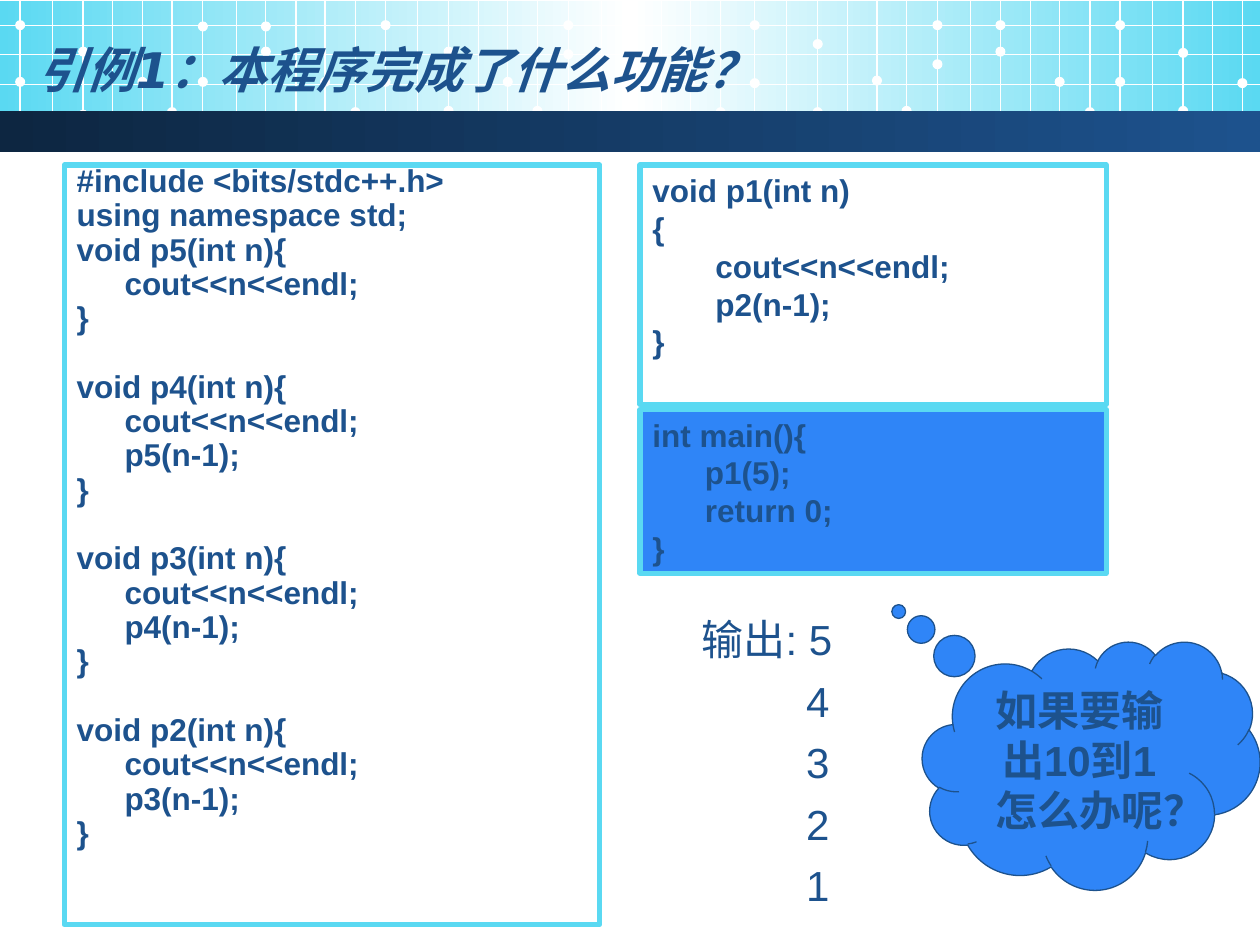
from copy import deepcopy
from dataclasses import dataclass
from itertools import product

from lxml.etree import SubElement as Sub
from pptx import Presentation
from pptx.dml.color import RGBColor as Rgb
from pptx.enum.shapes import MSO_CONNECTOR as Link, MSO_SHAPE as Kind
from pptx.enum.text import MSO_ANCHOR as Anchor, MSO_AUTO_SIZE as Fit, PP_ALIGN as Align
from pptx.oxml.ns import qn
from pptx.util import Inches, Pt


@dataclass(frozen=True)
class Theme:
    """Colours, fonts and type sizes."""
    ink: str = "1D528D"
    deep: str = "0D2641"
    sky: str = "5AD9F2"
    blue: str = "2F85F7"
    white: str = "FFFFFF"
    face: str = "Arial"
    head: str = "DejaVu Sans"
    code: int = 18
    note: int = 24
    title: int = 28


LOOK = Theme()


def write(shape, text, size=LOOK.code, font=LOOK.face, bold=True, slant=False,
          align=Align.LEFT, anchor=Anchor.TOP, line=None, before=0, skip=0,
          hang=0, tab=0, inset=0):
    """Fill a shape with text; a blank line becomes extra space before the next one."""
    frame = shape.text_frame
    frame.word_wrap, frame.auto_size = True, Fit.NONE
    frame.vertical_anchor = anchor
    para, gap = frame.paragraphs[0], 0
    for row, words in enumerate(text.split("\n")):
        if not words:
            gap = skip
            continue
        if row:
            para = frame.add_paragraph()
            para.space_before = Pt(before + gap)
        gap = 0
        para.alignment = align
        if line:
            para.line_spacing = line
        props = para._p.get_or_add_pPr()
        left = hang or (inset if row else 0)
        props.set("marL", str(Inches(left)))
        props.set("indent", str(-Inches(hang)))
        if tab:
            stops = Sub(props, qn("a:tabLst"))
            Sub(stops, qn("a:tab"), pos=str(Inches(tab)), algn="l")
        run = para.add_run()
        run.text = words
        face = run.font
        face.name, face.size, face.bold, face.italic = font, Pt(size), bold, slant
        face.color.rgb = Rgb.from_string(LOOK.ink)


class Deck:
    """Holds the theme, the current slide and a grid of 100 columns by 75 rows."""

    def __init__(self, look):
        """Start a deck with one title slide."""
        self.look, self.file = look, Presentation()
        self.file.slide_width, self.file.slide_height = Inches(10), Inches(7.5)
        self.col, self.row = self.file.slide_width / 100, self.file.slide_height / 75
        self.page = self.file.slides.add_slide(self.file.slide_layouts[5])

    def span(self, x, y, w, h):
        """Turn grid cells into lengths."""
        return [round(n * unit) for n, unit in zip((x, y, w, h), (self.col, self.row) * 2)]

    def shape(self, area, kind=Kind.RECTANGLE, fill=None, edge=None, width=3):
        """Add a preset shape."""
        item = self.page.shapes.add_shape(kind, *self.span(*area))
        item.shadow.inherit = False
        if fill:
            item.fill.solid()
            item.fill.fore_color.rgb = Rgb.from_string(fill)
        else:
            item.fill.background()
        if edge:
            item.line.color.rgb = Rgb.from_string(edge)
            item.line.width = Pt(width)
        else:
            item.line.fill.background()
        return item

    def band(self, area, *hues):
        """Add a bar with an even gradient from left to right."""
        fill = (item := self.shape(area)).fill
        fill.gradient()
        fill.gradient_angle = 0
        stops = item._element.spPr.find(".//" + qn("a:gsLst"))
        for _ in hues[2:]:
            stops.append(deepcopy(stops[0]))
        for n, (stop, hue) in enumerate(zip(fill.gradient_stops, hues)):
            stop.color.rgb = Rgb.from_string(hue)
            stop.position = n / (len(hues) - 1)

    def rule(self, *ends):
        """Add a thin white line."""
        wire = self.page.shapes.add_connector(Link.STRAIGHT, *self.span(*ends))
        wire.line.color.rgb = Rgb.from_string(self.look.white)
        wire.line.width = Pt(0.75)
        Sub(wire._element.spPr, qn("a:effectLst"))

    def dot(self, x, y):
        """Add a white dot by its centre."""
        self.shape((x - 0.4, y - 0.4, 0.8, 0.8), Kind.OVAL, self.look.white)

    def text(self, area, words, **style):
        """Add a text box."""
        write(self.page.shapes.add_textbox(*self.span(*area)), words, **style)

    def title(self, area, words):
        """Place the title in front of the banner."""
        item = self.page.shapes.title
        item.left, item.top, item.width, item.height = self.span(*area)
        self.page.shapes._spTree.append(item._element)
        write(item, words, size=self.look.title, font=self.look.head,
              slant=True, anchor=Anchor.MIDDLE)

    def banner(self):
        """Draw the header with its net of lines and dots."""
        look = self.look
        self.band((0, 0.1, 100, 10.2), look.sky, look.white, look.sky)
        tiles = (1.6, 30.6, 59.9, 88.9)
        steps = (0, 2.55, 5, 7.35, 9.7, 12.05, 14.5, 17.15, 19.5, 21.9, 24.2, 26.6)
        spots = (0, 0, 2, 2, 4, 5, 6, 6, 8, 8, 10, 11)
        highs = ((6.5, 2, 4.1, 9.1, 6.5, 8.9, 6.5, 2.1, 4.1, 2.1, 6.5, 8.9),
                 (6.5, 2, 4.1, 8.8, 6.5, 8.8, 4.3, 2, 4.2, 2, 6.5, 8.9),
                 (6.6, 2, 3.5, 8.9, 6.4, 8.8, 5.1, 2, 4.1, 2, 6.5, 8.9),
                 (6.5, 2, 4.2, 8.8, 6.6))
        for x in (tile + step for tile, step in product(tiles, steps)):
            if x < 100:
                self.rule(x, 0, x, 11)
        for y in (2, 4.3, 6.7, 8.9):
            self.rule(0, y, 100, y)
        for tile, ys in zip(tiles, highs):
            for spot, y in zip(spots, ys):
                self.dot(tile + steps[spot], y)
        self.band((0, 8.8, 100, 3.3), look.deep, look.ink)


def main():
    """Build the slide."""
    deck = Deck(LOOK)
    deck.banner()
    deck.title((2, 2.1, 90.8, 6.8), "引例1：本程序完成了什么功能？")

    funcs = ["void p5(int n){\n\tcout<<n<<endl;\n}"]
    funcs += [f"void p{n}(int n){{\n\tcout<<n<<endl;\n\tp{n + 1}(n-1);\n}}" for n in (4, 3, 2)]
    calls = "#include <bits/stdc++.h>\nusing namespace std;\n" + "\n\n".join(funcs)
    write(deck.shape((5.1, 13.1, 42.5, 60.3), edge=LOOK.sky), calls,
          line=0.7, before=4.5, skip=19.6, hang=0.38)

    first = "void p1(int n)\n{\n\tcout<<n<<endl;\n\tp2(n-1);\n}"
    write(deck.shape((50.8, 13.1, 37, 19), edge=LOOK.sky), first, tab=1)
    start = "int main(){\n      p1(5);\n      return 0;\n}"
    write(deck.shape((50.8, 32.5, 37, 13), fill=LOOK.blue, edge=LOOK.sky), start)

    deck.text((54.7, 49.3, 15, 23.4), "输出: 5\n4\n3\n2\n1", size=LOOK.note,
              bold=False, line=0.7, before=15, inset=0.83)
    cloud = deck.shape((73.2, 50.9, 26.8, 19.7), Kind.CLOUD_CALLOUT, LOOK.blue, LOOK.ink, 0.75)
    cloud.adjustments[0], cloud.adjustments[1] = -0.57, -0.62
    write(cloud, "如果要输出10到1怎么办呢？", size=LOOK.note,
          align=Align.CENTER, anchor=Anchor.MIDDLE)
    deck.file.save("out.pptx")


if __name__ == "__main__":
    main()
